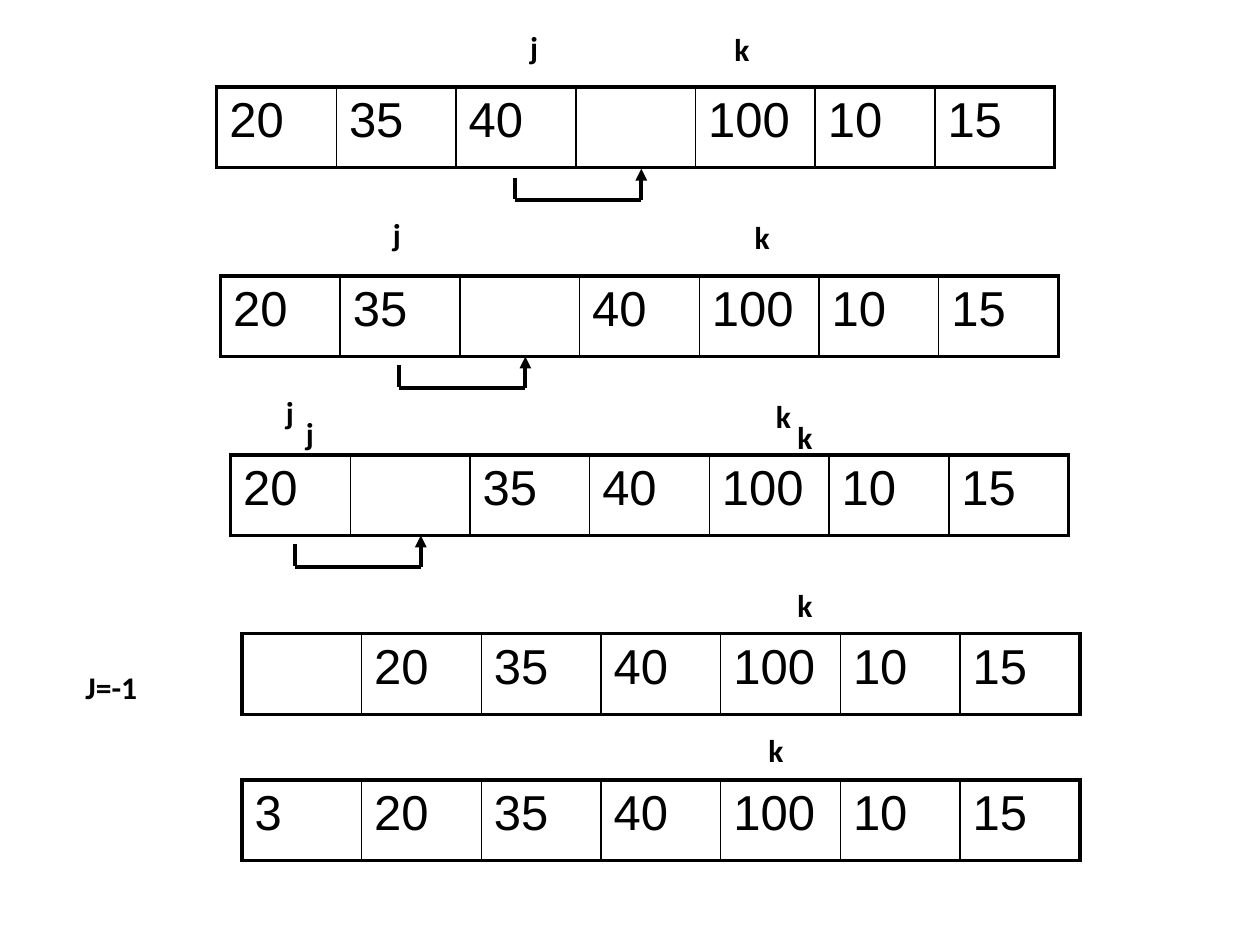
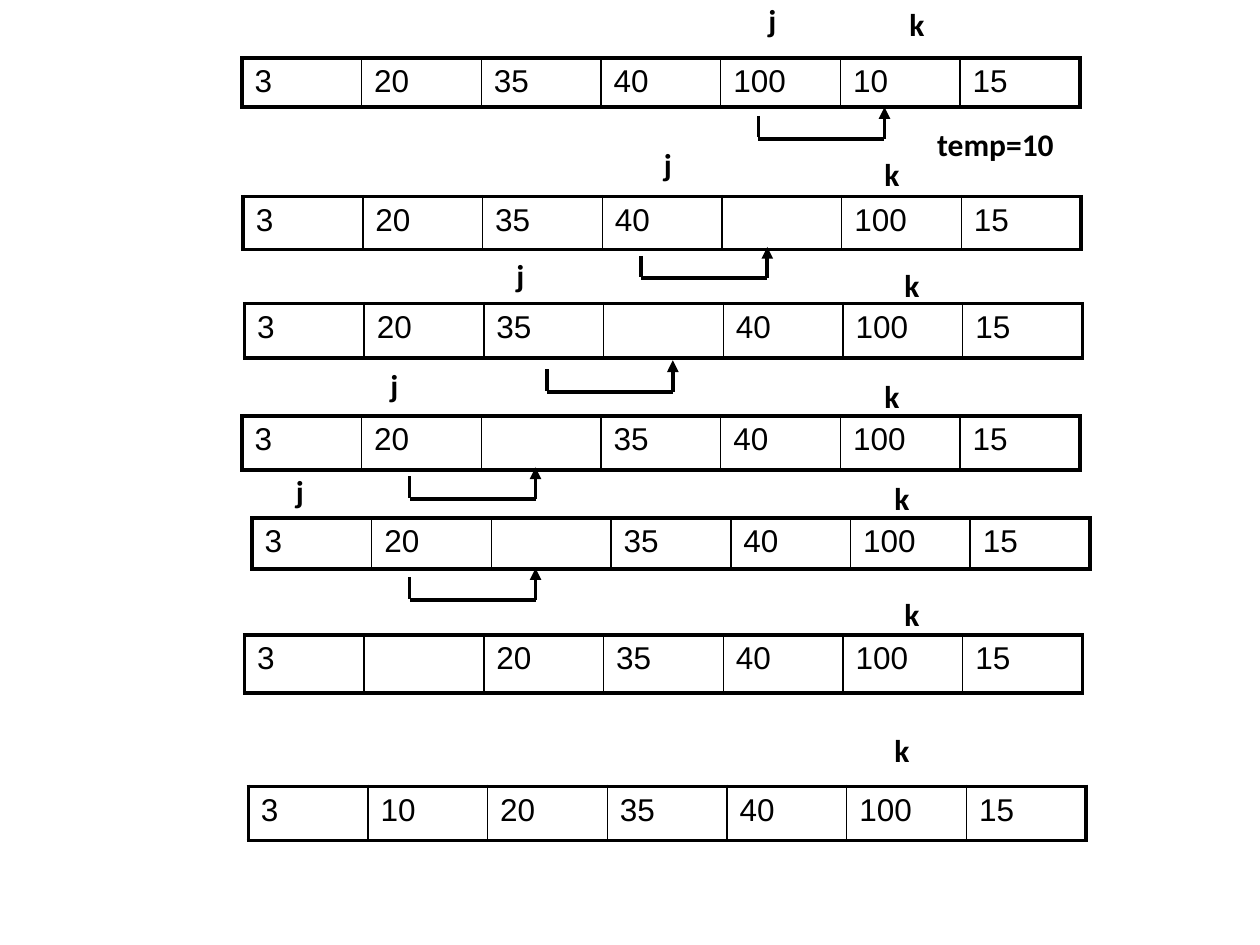
from lxml import etree
from pptx import Presentation
from pptx.dml.color import RGBColor
from pptx.enum.shapes import MSO_CONNECTOR
from pptx.oxml.ns import qn
from pptx.util import Inches, Pt

STRAIGHT = MSO_CONNECTOR.STRAIGHT
COLORS = {"ink": "000000"}
ARRAY_FONT, LABEL_FONT = "Arial", "Calibri"
LABEL_SIZE = 18
CELL_W = 0.95
THICK, THIN = 2.25, 1
LABEL_W = {"j": 0.33, "k": 0.33, "J=-1": 0.83, "temp=10": 1.5}

# Arrays: (left, top, height, values)
# Labels: (text, left, top)
# Shifts: (left, top) of the bracket that moves a value one cell right
SLIDES = [
    {
        "size": 28,
        "arrays": [
            (1.72, 0.69, 0.64, ["20", "35", "40", "", "100", "10", "15"]),
            (1.75, 2.19, 0.64, ["20", "35", "", "40", "100", "10", "15"]),
            (1.83, 3.61, 0.64, ["20", "", "35", "40", "100", "10", "15"]),
            (1.92, 5.03, 0.64, ["", "20", "35", "40", "100", "10", "15"]),
            (1.92, 6.19, 0.64, ["3", "20", "35", "40", "100", "10", "15"]),
        ],
        "labels": [
            ("j", 4.11, 0.17), ("k", 5.73, 0.19),
            ("j", 3.02, 1.66), ("k", 5.89, 1.68),
            ("j", 2.17, 3.07), ("k", 6.06, 3.1),
            ("j", 2.33, 3.24), ("k", 6.23, 3.27),
            ("J=-1", 0.58, 5.25), ("k", 6.23, 4.6),
            ("k", 6, 5.75),
        ],
        "shifts": [(4.09, 1.34), (3.17, 2.83), (2.34, 4.25)],
    },
    {
        "size": 18,
        "arrays": [
            (1.92, 0.46, 0.39, ["3", "20", "35", "40", "100", "10", "15"]),
            (1.93, 1.56, 0.42, ["3", "20", "35", "40", "", "100", "15"]),
            (1.94, 2.41, 0.43, ["3", "20", "35", "", "40", "100", "15"]),
            (1.92, 3.3, 0.43, ["3", "20", "", "35", "40", "100", "15"]),
            (2, 4.11, 0.4, ["3", "20", "", "35", "40", "100", "15"]),
            (1.94, 5.04, 0.46, ["3", "", "20", "35", "40", "100", "15"]),
            (1.97, 6.24, 0.43, ["3", "10", "20", "35", "40", "100", "15"]),
        ],
        "labels": [
            ("j", 6, -0.04), ("k", 7.12, -0.01), ("temp=10", 7.34, 0.94),
            ("j", 5.17, 1.1), ("k", 6.92, 1.18),
            ("j", 4, 1.98), ("k", 7.08, 2.06),
            ("j", 3, 2.86), ("k", 6.92, 2.94),
            ("j", 2.25, 3.7), ("k", 7, 3.75),
            ("k", 7.08, 4.67), ("k", 7, 5.75),
        ],
        "shifts": [(6.02, 0.85), (5.09, 1.96), (4.34, 2.86),
                   (3.25, 3.71), (3.25, 4.51)],
    },
]


def ink():
    return RGBColor.from_string(COLORS["ink"])


def format_text(tf, font, size, bold=False):
    for p in tf.paragraphs:
        for r in p.runs:
            r.font.name, r.font.size, r.font.bold = font, Pt(size), bold
            r.font.color.rgb = ink()


def set_borders(cell, widths):
    tc_pr = cell._tc.get_or_add_tcPr()
    for i, (side, width) in enumerate(widths.items()):
        ln = etree.Element(qn(f"a:{side}"), w=str(Pt(width)))
        fill = etree.SubElement(ln, qn("a:solidFill"))
        etree.SubElement(fill, qn("a:srgbClr"), val=COLORS["ink"])
        tc_pr.insert(i, ln)


def add_array(s, left, top, height, values, size):
    n = len(values)
    frame = s.shapes.add_table(1, n, Inches(left), Inches(top),
                               Inches(n * CELL_W), Inches(height))
    table = frame.table
    table.first_row = table.horz_banding = False
    for i, value in enumerate(values):
        table.columns[i].width = Inches(CELL_W)
        cell = table.cell(0, i)
        cell.fill.background()
        if value:
            cell.text_frame.text = value
            format_text(cell.text_frame, ARRAY_FONT, size)
        set_borders(cell, {"lnL": THICK if i == 0 else THIN,
                           "lnR": THICK if i == n - 1 else THIN,
                           "lnT": THICK, "lnB": THICK})


def add_label(s, text, left, top):
    box = s.shapes.add_textbox(Inches(left), Inches(top),
                               Inches(LABEL_W[text]), Inches(0.4))
    tf = box.text_frame
    tf.word_wrap = True
    tf.text = text
    format_text(tf, LABEL_FONT, LABEL_SIZE, bold=True)


def add_line(s, x1, y1, x2, y2, arrow=False):
    line = s.shapes.add_connector(STRAIGHT, Inches(x1), Inches(y1),
                                  Inches(x2), Inches(y2))
    line.line.color.rgb = ink()
    line.line.width = Pt(THICK)
    if arrow:
        etree.SubElement(line.line._get_or_add_ln(), qn("a:tailEnd"),
                         type="triangle")
    etree.SubElement(line._element.spPr, qn("a:effectLst"))


def add_shift(s, left, top):
    right, base = left + 1, top + 0.25
    add_line(s, left, top + 0.07, left, base - 0.01)
    add_line(s, left, base, right, base)
    add_line(s, right, base, right, top, arrow=True)


def main():
    prs = Presentation()
    prs.slide_width, prs.slide_height = Inches(10), Inches(7.5)
    blank = prs.slide_layouts[6]
    for content in SLIDES:
        s = prs.slides.add_slide(blank)
        for array in content["arrays"]:
            add_array(s, *array, content["size"])
        for label in content["labels"]:
            add_label(s, *label)
        for shift in content["shifts"]:
            add_shift(s, *shift)
    prs.save("out.pptx")


if __name__ == "__main__":
    main()
